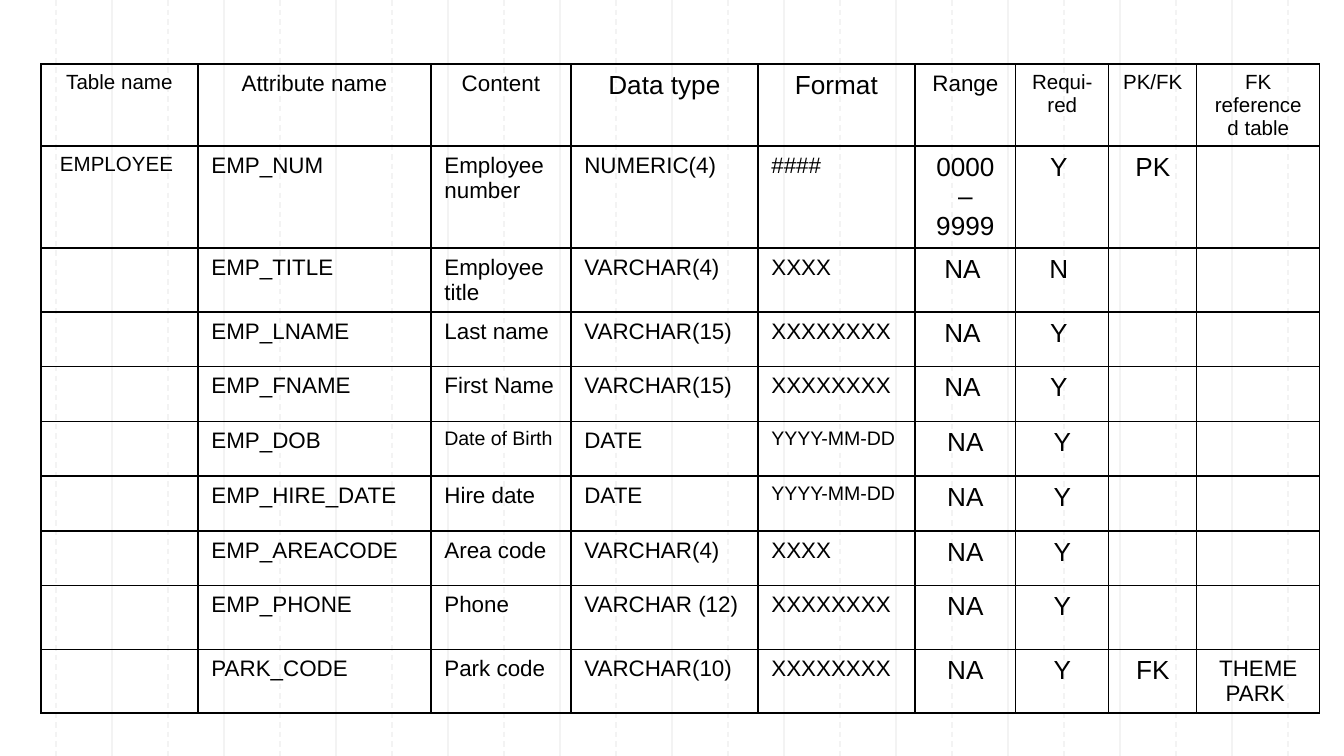
from itertools import product

from lxml.etree import SubElement as Sub
from pptx import Presentation
from pptx.dml.color import RGBColor as RGB
from pptx.enum.dml import MSO_LINE as Dash
from pptx.enum.shapes import MSO_CONNECTOR as Link
from pptx.enum.text import PP_ALIGN as Align
from pptx.oxml.ns import qn
from pptx.util import Pt

HUES = {"ink": "000000", "grid": "F3F3F3"}
WIDE, HIGH, STEP = 1344, 756, 56


def px(n):
    """Turn picture pixels into EMU."""
    return round(n * 914400 / 134.4)


def write(frame, text, size=12, align=Align.LEFT, hue="ink", font="Arial"):
    """Put formatted text into the first paragraph of a frame."""
    para = frame.paragraphs[0]
    para.text = text
    para.alignment = align
    for run in para.runs:
        run.font.size = Pt(size)
        run.font.name = font
        run.font.color.rgb = RGB.from_string(HUES[hue])


deck = Presentation()
deck.slide_width, deck.slide_height = px(WIDE), px(HIGH)
slide = deck.slides.add_slide(deck.slide_layouts[6])

# Background grid: solid lines first, then dashed ones
for start, dash in ((2, Dash.SOLID), (1, Dash.DASH)):
    for x in range(start * STEP, WIDE, 2 * STEP):
        line = slide.shapes.add_connector(Link.STRAIGHT, px(x), 0, px(x), px(HIGH))
        line.line.color.rgb = RGB.from_string(HUES["grid"])
        line.line.width = Pt(0.75)
        line.line.dash_style = dash
        Sub(line._element.spPr, qn("a:effectLst"))

# Data dictionary
heads = ["Table name", "Attribute name", "Content", "Data type", "Format",
         "Range", "Requi-red", "PK/FK", "FK referenced table"]
body = [
    ["EMPLOYEE ", "EMP_NUM ", "Employee number ", "NUMERIC(4) ", "####",
     "0000 – 9999", "Y ", "PK", ""],
    ["", "EMP_TITLE ", "Employee title ", "VARCHAR(4) ", "XXXX", "NA ", "N ", "", ""],
    ["", "EMP_LNAME", "Last name", "VARCHAR(15)", "XXXXXXXX", "NA ", "Y ", "", ""],
    ["", "EMP_FNAME", "First Name ", "VARCHAR(15)", "XXXXXXXX", "NA ", "Y ", "", ""],
    ["", "EMP_DOB", "Date of Birth", "DATE ", "YYYY-MM-DD", "NA", "Y", "", ""],
    ["", "EMP_HIRE_DATE ", "Hire date ", "DATE ", "YYYY-MM-DD", "NA", "Y", "", ""],
    ["", "EMP_AREACODE ", "Area code ", "VARCHAR(4) ", "XXXX", "NA", "Y", "", ""],
    ["", "EMP_PHONE", "Phone ", "VARCHAR (12) ", "XXXXXXXX", "NA", "Y", "", ""],
    ["", "PARK_CODE", "Park code ", "VARCHAR(10) ", "XXXXXXXX", "NA", "Y", "FK",
     "THEME\nPARK "],
]
rows = [heads] + body
widths = [157, 233, 140, 187, 157, 101, 93, 88, 123]
heights = [81, 102, 64, 54, 55, 54, 55, 54, 64, 63]
head_sizes = [11, 12, 12, 14, 14, 12, 11, 11, 11]
body_sizes = [11, 12, 12, 12, 12, 14, 14, 14, 12]
small = {"Date of Birth": 10.5, "YYYY-MM-DD": 10.5}

table = slide.shapes.add_table(len(rows), len(heads), px(41), px(64),
                               px(sum(widths)), px(sum(heights))).table
table.first_row = table.horz_banding = False
for col, width in zip(table.columns, widths):
    col.width = px(width)
for row, height in zip(table.rows, heights):
    row.height = px(height)

for r, c in product(range(len(rows)), range(len(heads))):
    cell, text = table.cell(r, c), rows[r][c]
    props = cell._tc.get_or_add_tcPr()
    for side in ("a:lnL", "a:lnR", "a:lnT", "a:lnB"):
        edge = Sub(props, qn(side), w=str(Pt(0.75)))
        Sub(Sub(edge, qn("a:solidFill")), qn("a:srgbClr"), val=HUES["ink"])
    cell.fill.background()
    if text:
        size = small.get(text, body_sizes[c]) if r else head_sizes[c]
        mid = r == 0 or c == 0 or c > 4
        write(cell.text_frame, text, size=size,
              align=Align.CENTER if mid else Align.LEFT)

deck.save("out.pptx")
